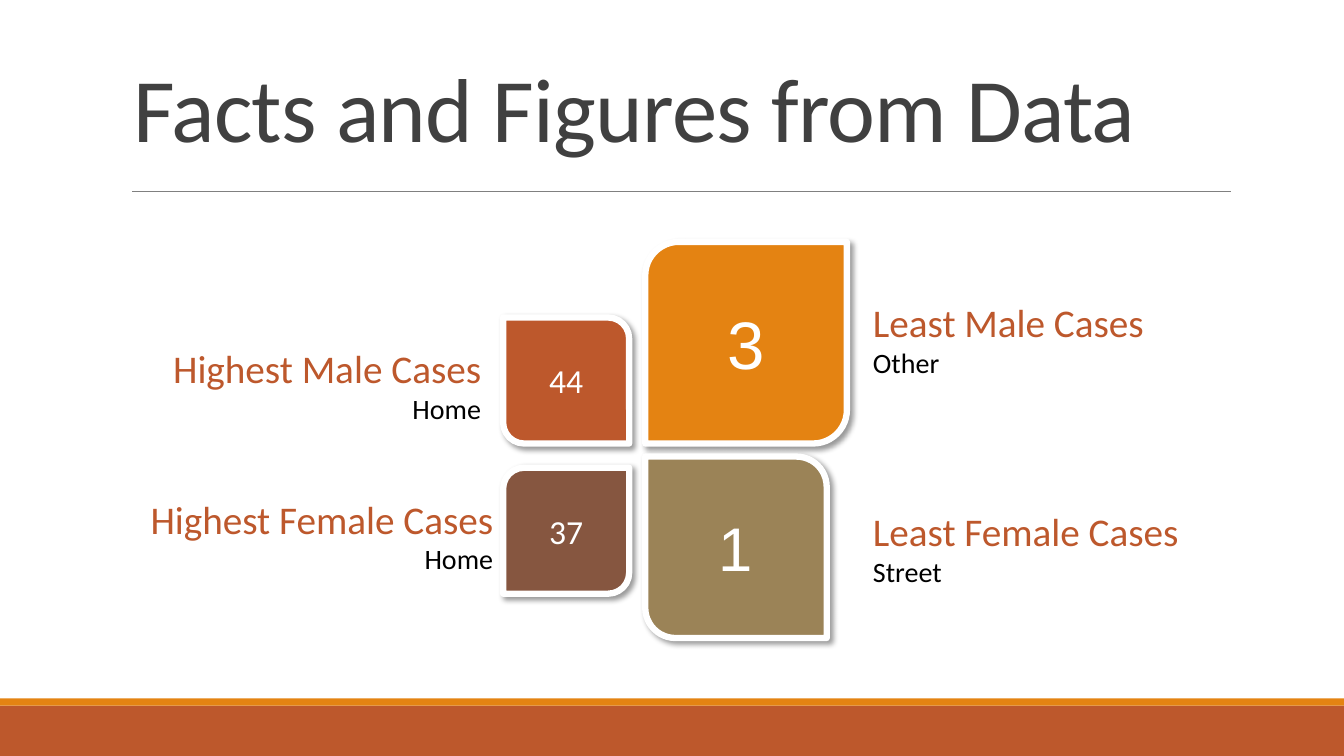
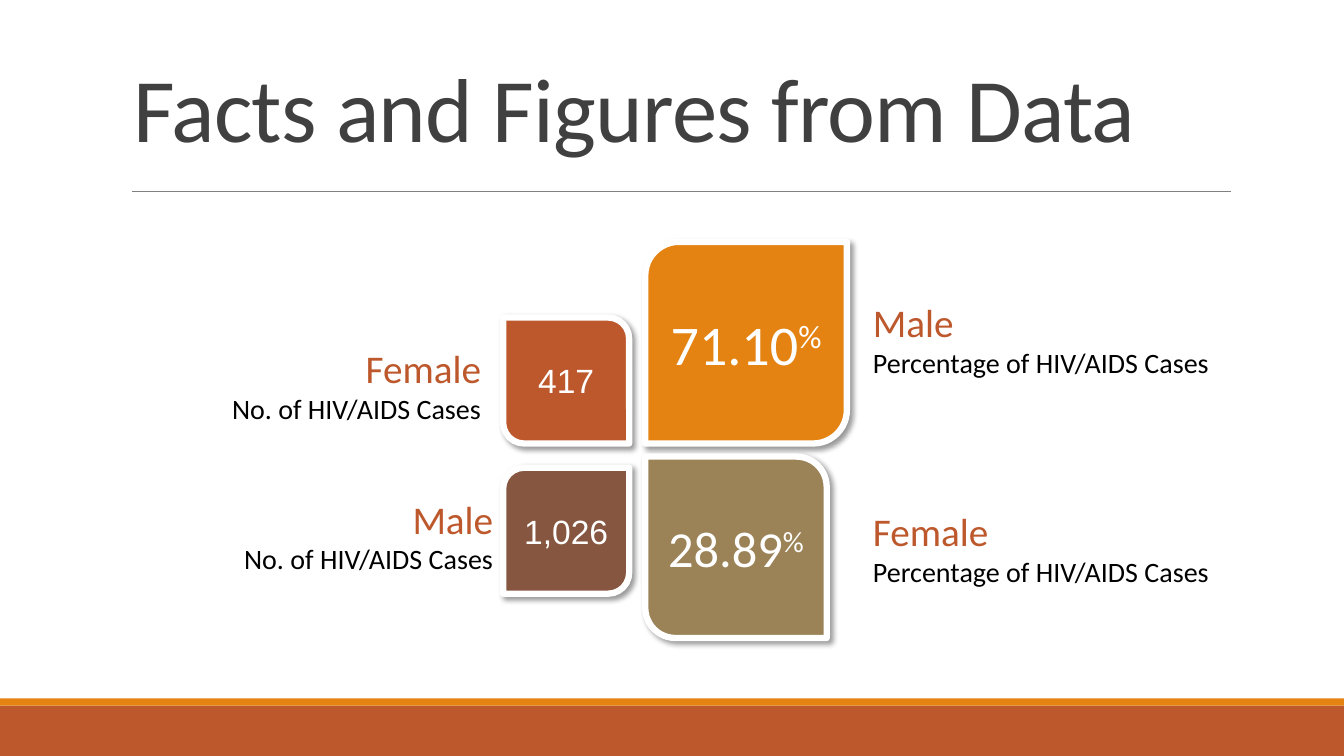
from dataclasses import dataclass

from lxml.etree import SubElement
from pptx import Presentation
from pptx.dml.color import RGBColor
from pptx.enum.shapes import MSO_CONNECTOR as Connector, MSO_SHAPE as Preset
from pptx.enum.text import MSO_ANCHOR as Anchor, MSO_AUTO_SIZE as AutoSize, PP_ALIGN as Align
from pptx.oxml.ns import qn
from pptx.util import Emu, Pt

EMU_PER_PX = 9144  # 100 px to the inch
SLIDE_WIDTH, SLIDE_HEIGHT = 1333, 750
TITLE_ONLY = 5
COLORS = {
    "rust": "BD582C",
    "orange": "E48312",
    "brown": "865640",
    "khaki": "9B8357",
    "title": "404040",
    "rule": "808080",
    "black": "000000",
    "white": "FFFFFF",
}
CORNER = 0.16667
LABEL_HEIGHT = 91


@dataclass(frozen=True)
class Tile:
    left: int
    top: int
    size: int
    color: str
    mirrored: bool
    label_edge: int  # the label's side nearest the tile
    label_top: int
    label_align: Align


@dataclass(frozen=True)
class Fact:
    value: str
    size: int
    font: str
    heading: str
    detail: str
    label_width: int = 347
    unit: str = ""


TILES = (
    Tile(499, 315, 125, "rust", True, 487, 337, Align.RIGHT),
    Tile(499, 464, 125, "brown", False, 499, 486, Align.RIGHT),
    Tile(640, 240, 200, "orange", False, 856, 291, Align.LEFT),
    Tile(640, 453, 180, "khaki", True, 856, 498, Align.LEFT),
)
CASES = "No. of HIV/AIDS Cases"
PERCENTAGE = "Percentage of HIV/AIDS Cases"
TITLE = "Facts and Figures from Data"
SLIDES = (
    (
        Fact("44", 24, "Calibri", "Highest Male Cases", "Home"),
        Fact("37", 24, "Calibri", "Highest Female Cases", "Home", 377),
        Fact("3", 48, "Arial", "Least Male Cases", "Other"),
        Fact("1", 44, "Arial", "Least Female Cases", "Street", 400),
    ),
    (
        Fact("417", 24, "Arial", "Female", CASES),
        Fact("1,026", 24, "Arial", "Male", CASES),
        Fact("71.10", 40, "Calibri", "Male", PERCENTAGE, 366, "%"),
        Fact("28.89", 36, "Calibri", "Female", PERCENTAGE, 366, "%"),
    ),
)


def px(length: int) -> Emu:
    return Emu(length * EMU_PER_PX)


def rgb(name: str) -> RGBColor:
    return RGBColor.from_string(COLORS[name])


def add_text(paragraph, text: str, *, size: float, color: str, font: str = "Calibri",
             align: Align = Align.LEFT, spacing: int = 0, baseline: int = 0) -> None:
    """Append a run; spacing is in hundredths of a point, baseline in thousandths of a percent."""
    paragraph.alignment = align
    run = paragraph.add_run()
    run.text = text
    run.font.size = Pt(size)
    run.font.name = font
    run.font.color.rgb = rgb(color)
    properties = run._r.get_or_add_rPr()
    for name, value in (("spc", spacing), ("baseline", baseline)):
        if value:
            properties.set(name, str(value))


def add_filled(slide, preset: Preset, left: int, top: int, width: int, height: int, color: str):
    """Add a shape with a solid fill, no line and no shadow."""
    shape = slide.shapes.add_shape(preset, px(left), px(top), px(width), px(height))
    shape.shadow.inherit = False
    shape.fill.solid()
    shape.fill.fore_color.rgb = rgb(color)
    shape.line.fill.background()
    return shape


def set_drop_shadow(shape) -> None:
    effects = shape.element.spPr.find(qn("a:effectLst"))
    shadow = SubElement(effects, qn("a:outerShdw"), blurRad=str(Pt(4)), dist=str(Pt(3)),
                        dir=str(45 * 60000), algn="tl", rotWithShape="0")
    color = SubElement(shadow, qn("a:srgbClr"), val=COLORS["black"])
    SubElement(color, qn("a:alpha"), val="40000")


def build_layout(layout, slide) -> None:
    """Place the layout's title, then draw bands and rule on the slide and move them to the layout."""
    title = layout.placeholders[0]
    title.left, title.top, title.width, title.height = map(px, (122, 77, 1100, 88))

    rule = slide.shapes.add_connector(Connector.STRAIGHT, px(131), px(190), px(1221), px(190))
    rule.line.color.rgb = rgb("rule")
    rule.line.width = Pt(0.5)
    SubElement(rule.element.spPr, qn("a:effectLst"))
    frame = (
        add_filled(slide, Preset.RECTANGLE, 0, 700, SLIDE_WIDTH, 50, "rust"),
        add_filled(slide, Preset.RECTANGLE, 0, 693, SLIDE_WIDTH, 7, "orange"),
        rule,
    )
    for number, shape in enumerate(frame, start=100):
        shape.element.xpath(".//p:cNvPr")[0].set("id", str(number))
        layout.shapes.element.append(shape.element)


def fill_title(slide) -> None:
    text_frame = slide.shapes.title.text_frame
    text_frame.auto_size = AutoSize.NONE
    text_frame.vertical_anchor = Anchor.BOTTOM
    paragraph = text_frame.paragraphs[0]
    paragraph.line_spacing = 0.85
    add_text(paragraph, TITLE, size=64.8, color="title", spacing=-50)


def draw_tile(slide, tile: Tile, fact: Fact) -> None:
    shape = add_filled(slide, Preset.ROUND_2_DIAG_RECTANGLE, tile.left, tile.top,
                       tile.size, tile.size, tile.color)
    corners = (0, CORNER) if tile.mirrored else (CORNER, 0)
    for index, radius in enumerate(corners):
        shape.adjustments[index] = radius
    shape.line.color.rgb = rgb("white")
    shape.line.width = Pt(4.5)
    set_drop_shadow(shape)
    shape.text_frame.vertical_anchor = Anchor.MIDDLE
    paragraph = shape.text_frame.paragraphs[0]
    style = {"size": fact.size, "font": fact.font, "color": "white", "align": Align.CENTER}
    add_text(paragraph, fact.value, **style)
    if fact.unit:
        add_text(paragraph, fact.unit, baseline=30000, **style)


def draw_label(slide, tile: Tile, fact: Fact) -> None:
    left = tile.label_edge - (fact.label_width if tile.label_align == Align.RIGHT else 0)
    box = slide.shapes.add_textbox(px(left), px(tile.label_top),
                                   px(fact.label_width), px(LABEL_HEIGHT))
    text_frame = box.text_frame
    text_frame.word_wrap = True
    text_frame.auto_size = AutoSize.SHAPE_TO_FIT_TEXT
    add_text(text_frame.paragraphs[0], fact.heading, size=28, color="rust", align=tile.label_align)
    add_text(text_frame.add_paragraph(), fact.detail, size=20, color="black", align=tile.label_align)


def main() -> None:
    presentation = Presentation()
    presentation.slide_width, presentation.slide_height = px(SLIDE_WIDTH), px(SLIDE_HEIGHT)
    layout = presentation.slide_layouts[TITLE_ONLY]
    for index, facts in enumerate(SLIDES):
        slide = presentation.slides.add_slide(layout)
        if index == 0:
            build_layout(layout, slide)
        fill_title(slide)
        for tile, fact in zip(TILES, facts):
            draw_tile(slide, tile, fact)
            draw_label(slide, tile, fact)
    presentation.save("out.pptx")


if __name__ == "__main__":
    main()
